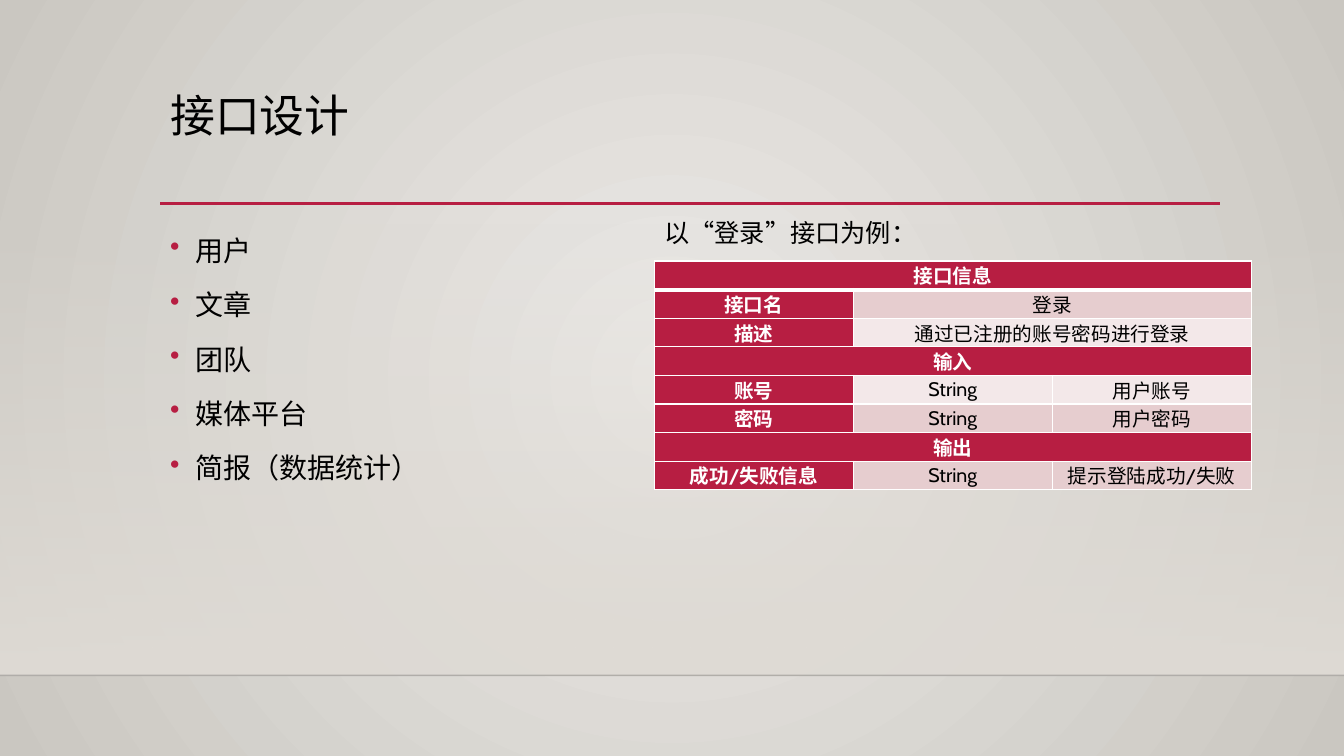
import lxml.etree
import pptx
import pptx.dml.color
import pptx.enum.shapes
import pptx.enum.text
import pptx.oxml
import pptx.oxml.ns
import pptx.util

WIDTH, HEIGHT = 13.33, 7.5
LEFT, CONTENT_WIDTH = 1.59, 10.5
FLOOR = 6.7
FONT = "Cabin"
ACCENT, BLACK, WHITE = "B71E42", "000000", "FFFFFF"
BANDS = ("F3E8E9", "E6CDCF")
TOPICS = ["用户", "文章", "团队", "媒体平台", "简报（数据统计）"]
INTERFACE_ROWS = [
    ["接口信息"],
    ["接口名", "登录"],
    ["描述", "通过已注册的账号密码进行登录"],
    ["输入"],
    ["账号", "String", "用户账号"],
    ["密码", "String", "用户密码"],
    ["输出"],
    ["成功/失败信息", "String", "提示登陆成功/失败"],
]


def color(value):
    """Turn a hex string into a colour."""
    return pptx.dml.color.RGBColor.from_string(value)


def inches(*lengths):
    """Turn numbers into lengths in inches."""
    return [pptx.util.Inches(length) for length in lengths]


def add_child(parent, tag, **attributes):
    """Append an XML child with the given attributes."""
    child = lxml.etree.SubElement(parent, pptx.oxml.ns.qn(tag))
    for name, value in attributes.items():
        child.set(name, str(value))
    return child


def set_gradient(properties, stops, circular):
    """Replace a solid fill by a circular or downward gradient."""
    solid = properties.find(pptx.oxml.ns.qn("a:solidFill"))
    gradient = pptx.oxml.parse_xml(f'<a:gradFill {pptx.oxml.ns.nsdecls("a")} rotWithShape="1"/>')
    stop_list = add_child(gradient, "a:gsLst")
    for position, value, opacity in stops:
        stop = add_child(stop_list, "a:gs", pos=position * 1000)
        add_child(add_child(stop, "a:srgbClr", val=value), "a:alpha", val=opacity * 1000)
    if circular:
        circle = add_child(gradient, "a:path", path="circle")
        add_child(circle, "a:fillToRect", l=50000, t=50000, r=50000, b=50000)
    else:
        add_child(gradient, "a:lin", ang=5400000, scaled=0)
    properties.replace(solid, gradient)


def add_rule(slide, left, top, width, value, weight, opacity=100):
    """Draw a horizontal line."""
    rule = slide.shapes.add_connector(
        pptx.enum.shapes.MSO_CONNECTOR.STRAIGHT, *inches(left, top, left + width, top))
    rule.line.color.rgb = color(value)
    rule.line.width = pptx.util.Pt(weight)
    properties = rule.element.spPr
    paint = properties.find(".//" + pptx.oxml.ns.qn("a:srgbClr"))
    add_child(paint, "a:alpha", val=opacity * 1000)
    add_child(properties, "a:effectLst")


def style(paragraph, text, size, value=BLACK, bold=False):
    """Fill a paragraph and set its font."""
    paragraph.text = text
    font = paragraph.font
    font.name, font.size, font.bold = FONT, pptx.util.Pt(size), bold
    font.color.rgb = color(value)


def add_text(slide, box, lines, size, wrap=True):
    """Add a text box and return its paragraphs."""
    frame = slide.shapes.add_textbox(*inches(*box)).text_frame
    frame.word_wrap = wrap
    for index, line in enumerate(lines):
        paragraph = frame.add_paragraph() if index else frame.paragraphs[0]
        style(paragraph, line, size)
    return frame.paragraphs


def add_backdrop(slide):
    """Paint the background, the wall fade and the floor line."""
    slide.background.fill.solid()
    set_gradient(slide.element.find(".//" + pptx.oxml.ns.qn("p:bgPr")),
                 [(0, "ECEAE7", 100), (100, "CAC7C1", 100)], True)
    wall_top = 2.21
    wall = slide.shapes.add_shape(pptx.enum.shapes.MSO_SHAPE.RECTANGLE,
                                  *inches(0, wall_top, WIDTH, FLOOR - wall_top))
    wall.shadow.inherit = False
    wall.line.fill.background()
    wall.fill.solid()
    set_gradient(wall.element.spPr, [(0, "DFDBD5", 0), (100, "DFDBD5", 100)], False)
    add_rule(slide, 0, FLOOR, WIDTH, "000001", 1, 20)


def add_heading(slide, box, title):
    """Place the title above its accent line."""
    left, top, width, height = box
    add_text(slide, box, [title], 32)[0].line_spacing = 0.9
    add_rule(slide, left, top + height - 0.01, width + 0.01, ACCENT, 2.5)


def add_topics(slide, box, topics):
    """Place the bulleted list."""
    for paragraph in add_text(slide, box, topics, 20):
        paragraph.line_spacing = 1.2
        paragraph.space_before = pptx.util.Pt(10)
        properties = paragraph._p.get_or_add_pPr()
        indent = pptx.util.Inches(0.25)
        properties.set("marL", str(indent))
        properties.set("indent", str(-indent))
        bullet_color = pptx.oxml.parse_xml(f'<a:buClr {pptx.oxml.ns.nsdecls("a")}/>')
        add_child(bullet_color, "a:srgbClr", val=ACCENT)
        bullet = pptx.oxml.parse_xml(f'<a:buChar {pptx.oxml.ns.nsdecls("a")} char="•"/>')
        defaults = properties.find(pptx.oxml.ns.qn("a:defRPr"))
        defaults.addprevious(bullet_color)
        defaults.addprevious(bullet)


def format_cell(cell, fill, bottom_weight):
    """Set the fill, margins and white borders of a cell."""
    cell.vertical_anchor = pptx.enum.text.MSO_ANCHOR.MIDDLE
    cell.margin_left, cell.margin_top, cell.margin_right, cell.margin_bottom = inches(0.07, 0, 0.07, 0)
    properties = cell._tc.get_or_add_tcPr()
    for side, weight in (("L", 1), ("R", 1), ("T", 1), ("B", bottom_weight)):
        border = add_child(properties, f"a:ln{side}", w=pptx.util.Pt(weight))
        add_child(add_child(border, "a:solidFill"), "a:srgbClr", val=WHITE)
    cell.fill.solid()
    cell.fill.fore_color.rgb = color(fill)


def add_interface_table(slide, box, rows, columns=3):
    """Build the interface table; the last text of a short row spans the rest."""
    table = slide.shapes.add_table(len(rows), columns, *inches(*box)).table
    table.first_row = table.horz_banding = False
    for row_index, texts in enumerate(rows):
        for column in range(columns):
            header = column == 0 or len(texts) == 1
            cell = table.cell(row_index, column)
            format_cell(cell, ACCENT if header else BANDS[row_index % 2],
                        1 if row_index else 3)
            if column < len(texts):
                style(cell.text_frame.paragraphs[0], texts[column], 14,
                      WHITE if header else BLACK, header)
                cell.text_frame.paragraphs[0].alignment = pptx.enum.text.PP_ALIGN.CENTER
        if len(texts) < columns:
            table.cell(row_index, len(texts) - 1).merge(table.cell(row_index, columns - 1))


def add_example(slide, box, caption, rows):
    """Place the caption and the table below it."""
    left, top, width, height = box
    caption_height = 0.48
    add_interface_table(slide, (left, top + caption_height, width, height - caption_height), rows)
    add_text(slide, (left, top, 2.73, 0.4), [caption], 18, wrap=False)


def main():
    """Build and save the slide."""
    presentation = pptx.Presentation()
    presentation.slide_width, presentation.slide_height = inches(WIDTH, HEIGHT)
    slide = presentation.slides.add_slide(presentation.slide_layouts[6])
    add_backdrop(slide)
    add_heading(slide, (LEFT, 0.88, CONTENT_WIDTH, 1.15), "接口设计")
    add_topics(slide, (LEFT, 2.2, CONTENT_WIDTH, 3.77), TOPICS)
    add_example(slide, (6.49, 2.11, 5.92, 2.75), "以“登录”接口为例：", INTERFACE_ROWS)
    presentation.save("out.pptx")


if __name__ == "__main__":
    main()
